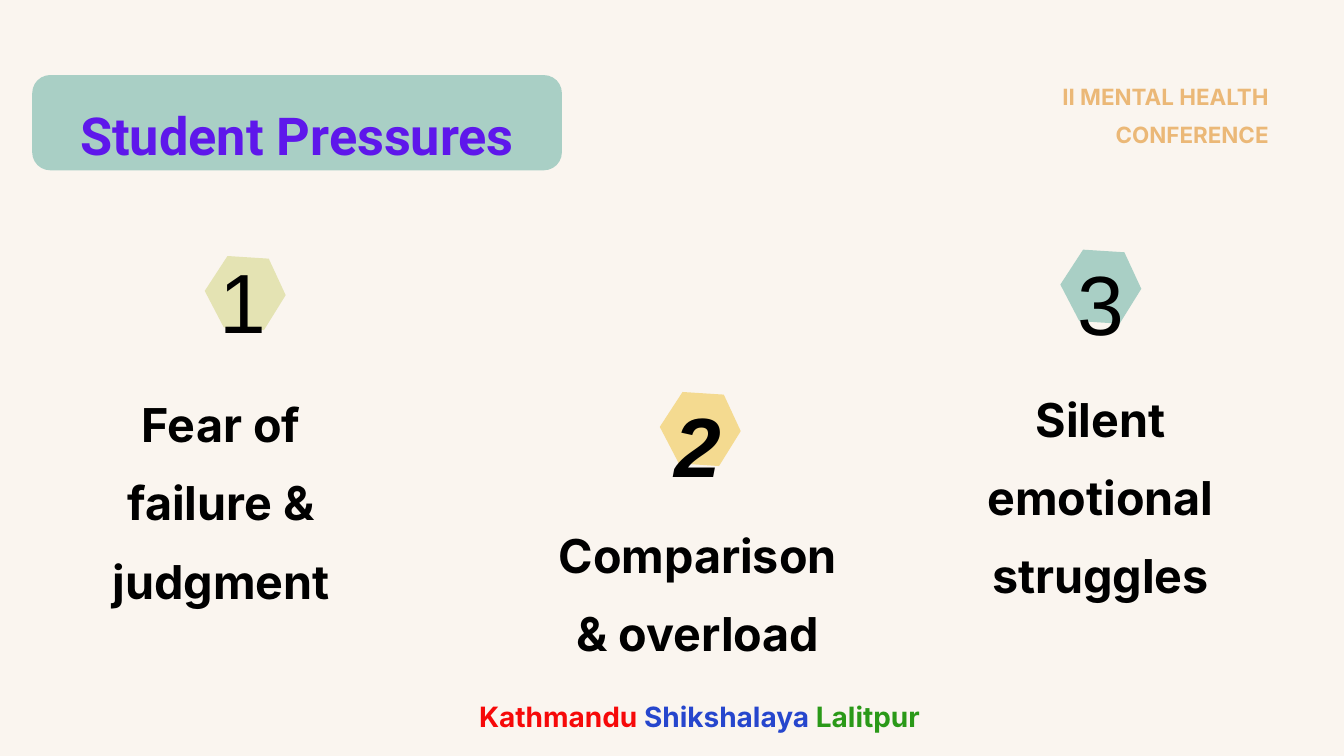
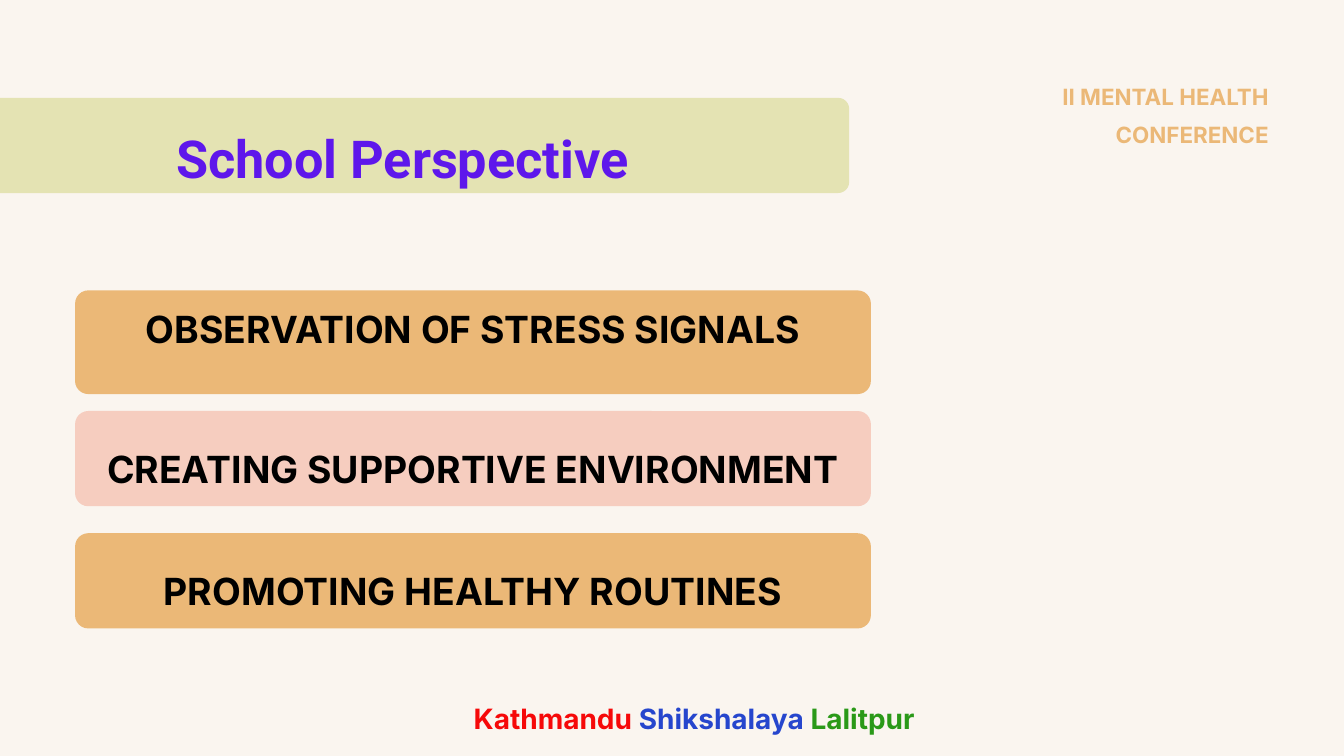
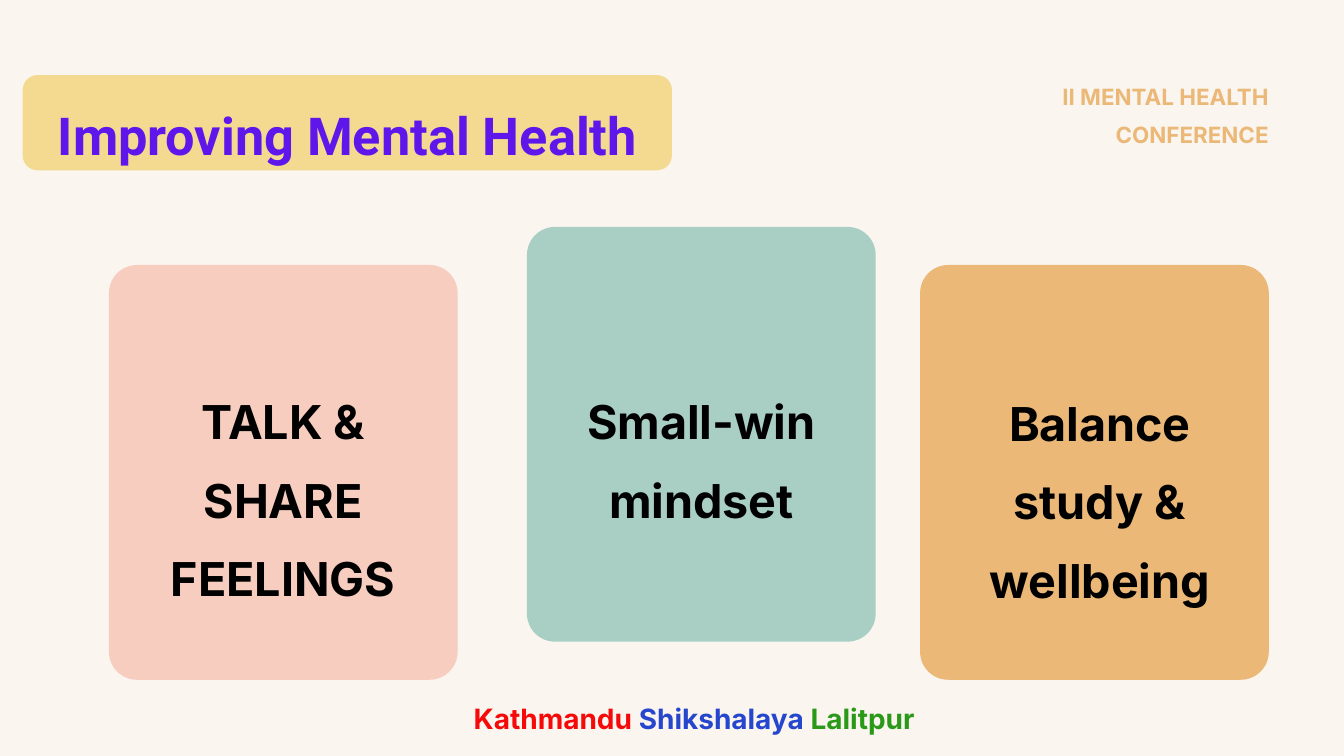
import dataclasses

import pptx
import pptx.dml.color
import pptx.enum.shapes
import pptx.enum.text
import pptx.util

Cm = pptx.util.Cm
ALIGN = pptx.enum.text.PP_ALIGN
ANCHOR = pptx.enum.text.MSO_ANCHOR
FIT = pptx.enum.text.MSO_AUTO_SIZE


@dataclasses.dataclass(frozen=True)
class Theme:
    paper: str = "FAF5EF"
    ink: str = "000000"
    violet: str = "5E17EB"
    mint: str = "A9CFC5"
    lime: str = "E4E3B3"
    sand: str = "F4DA90"
    orange: str = "EBB877"
    rose: str = "F6CDBF"
    red: str = "F60909"
    blue: str = "2646CD"
    green: str = "2A9918"
    body_font: str = "Inter"
    title_font: str = "Roboto"
    number_font: str = "Arial"
    title_size: int = 28
    statement_size: int = 25
    bar_size: int = 20
    number_size: int = 45
    event_size: int = 12
    school_size: int = 15


THEME = Theme()

# Content; positions and sizes are in centimetres
EVENT = "II MENTAL HEALTH CONFERENCE"
SCHOOL = [("Kathmandu ", THEME.red), ("Shikshalaya ", THEME.blue), ("Lalitpur", THEME.green)]

# title, left, top, width, corner radius, colour
PRESSURES_TITLE = ("Student Pressures", 0.61, 1.42, 10.01, 0.34, THEME.mint)
SCHOOL_TITLE = ("School Perspective", -0.84, 1.85, 16.89, 0.21, THEME.lime)
IMPROVING_TITLE = ("Improving Mental Health", 0.43, 1.42, 12.27, 0.28, THEME.sand)

# number, its corner, hexagon corner, colour, emphasis, statement, its box
PRESSURES = [
    ("1", (3.58, 4.72), (3.87, 4.84), THEME.lime, False,
     "Fear of failure & judgment", (2.01, 7.06, 4.34, 4.06)),
    ("2", (12.17, 7.44), (12.47, 7.41), THEME.sand, True,
     "Comparison & overload", (10.46, 9.53, 5.46, 2.57)),
    ("3", (19.79, 4.75), (20.04, 4.72), THEME.mint, False,
     "Silent emotional struggles", (18.54, 6.96, 4.52, 4.06)),
]
HEXAGON = [(1.21, 0.05), (1.53, 0.74), (1.12, 1.4), (0.36, 1.35), (0, 0.66), (0.43, 0)]

# action, top, height, drop of the text below the top, colour
ACTIONS = [
    ("OBSERVATION OF STRESS SIGNALS", 5.49, 1.96, 0, THEME.orange),
    ("CREATING SUPPORTIVE ENVIRONMENT", 7.77, 1.8, 0.37, THEME.rose),
    ("PROMOTING HEALTHY ROUTINES", 10.08, 1.8, 0.37, THEME.orange),
]

# advice, its box, card corner, colour
ADVICE = [
    ("TALK & SHARE FEELINGS", (2.95, 7.01, 4.8, 5.23), (2.06, 5.01), THEME.rose),
    ("Small-win mindset", (10.92, 7.01, 4.67, 4.06), (9.96, 4.29), THEME.mint),
    ("Balance study & wellbeing", (18.44, 7.04, 4.7, 4.06), (17.39, 5.01), THEME.orange),
]


def rgb(colour):
    return pptx.dml.color.RGBColor.from_string(colour)


def add_text(slide, text, box, size, font=THEME.body_font, colour=THEME.ink, bold=True,
             italic=False, align=ALIGN.CENTER, spacing=None, inset=0, grow=True):
    """Write one paragraph; text is a string or a list of (words, colour)."""
    frame = slide.shapes.add_textbox(*map(Cm, box)).text_frame
    frame.word_wrap = True
    frame.auto_size = FIT.SHAPE_TO_FIT_TEXT if grow else FIT.NONE
    frame.vertical_anchor = ANCHOR.TOP if grow else ANCHOR.MIDDLE
    frame.margin_left = frame.margin_right = Cm(inset)
    frame.margin_top = frame.margin_bottom = Cm(inset)
    paragraph = frame.paragraphs[0]
    paragraph.alignment = align
    if spacing:
        paragraph.line_spacing = spacing
    for words, tint in [(text, colour)] if isinstance(text, str) else text:
        run = paragraph.add_run()
        run.text = words
        run.font.name, run.font.size = font, pptx.util.Pt(size)
        run.font.bold, run.font.italic = bold, italic
        run.font.color.rgb = rgb(tint)


def paint(shape, colour):
    shape.shadow.inherit = False
    shape.fill.solid()
    shape.fill.fore_color.rgb = rgb(colour)
    shape.line.fill.background()


def add_panel(slide, box, radius, colour):
    kind = pptx.enum.shapes.MSO_SHAPE.ROUNDED_RECTANGLE
    panel = slide.shapes.add_shape(kind, *map(Cm, box))
    panel.adjustments[0] = radius / min(box[2:])
    paint(panel, colour)


def add_hexagon(slide, left, top, colour):
    corners = [(Cm(left + x), Cm(top + y)) for x, y in HEXAGON]
    builder = slide.shapes.build_freeform(*corners[0])
    builder.add_line_segments(corners[1:], close=True)
    paint(builder.convert_to_shape(), colour)


def add_statement(slide, text, box):
    add_text(slide, text, box, THEME.statement_size, spacing=1.4)


def start_slide(deck, heading, school_at=(6.73, 13.26)):
    """Add a slide with its background, title banner, event and school name."""
    slide = deck.slides.add_slide(deck.slide_layouts[6])
    slide.background.fill.solid()
    slide.background.fill.fore_color.rgb = rgb(THEME.paper)
    title, left, top, width, radius, colour = heading
    add_panel(slide, (left, top, width, 1.8), radius, colour)
    add_text(slide, title, (left, top + 0.45, width, 1.35), THEME.title_size,
             font=THEME.title_font, colour=THEME.violet, inset=0.03, grow=False)
    add_text(slide, EVENT, (19.51, 1.37, 4.47, 1.22), THEME.event_size,
             colour=THEME.orange, align=ALIGN.RIGHT, spacing=1.4)
    add_text(slide, SCHOOL, (*school_at, 12.78, 0.64), THEME.school_size)
    return slide


def build_pressures(deck):
    slide = start_slide(deck, PRESSURES_TITLE, school_at=(6.83, 13.23))
    for number, number_at, hexagon_at, colour, strong, statement, box in PRESSURES:
        add_hexagon(slide, *hexagon_at, colour)
        add_text(slide, number, (*number_at, 2.03, 1.93), THEME.number_size,
                 font=THEME.number_font, bold=strong, italic=strong)
        add_statement(slide, statement, box)


def build_school(deck):
    slide = start_slide(deck, SCHOOL_TITLE)
    left, width, text_height = 1.42, 15.04, 1.44
    for action, top, height, drop, colour in ACTIONS:
        add_panel(slide, (left, top, width, height), 0.25, colour)
        add_text(slide, action, (left, top + drop, width, text_height), THEME.bar_size,
                 inset=0.03, grow=False)


def build_improving(deck):
    slide = start_slide(deck, IMPROVING_TITLE)
    for advice, box, card_at, colour in ADVICE:
        add_panel(slide, (*card_at, 6.59, 7.84), 0.53, colour)
        add_statement(slide, advice, box)


def main():
    deck = pptx.Presentation()
    deck.slide_width, deck.slide_height = Cm(25.4), Cm(14.29)
    build_pressures(deck)
    build_school(deck)
    build_improving(deck)
    deck.save("out.pptx")


if __name__ == "__main__":
    main()
